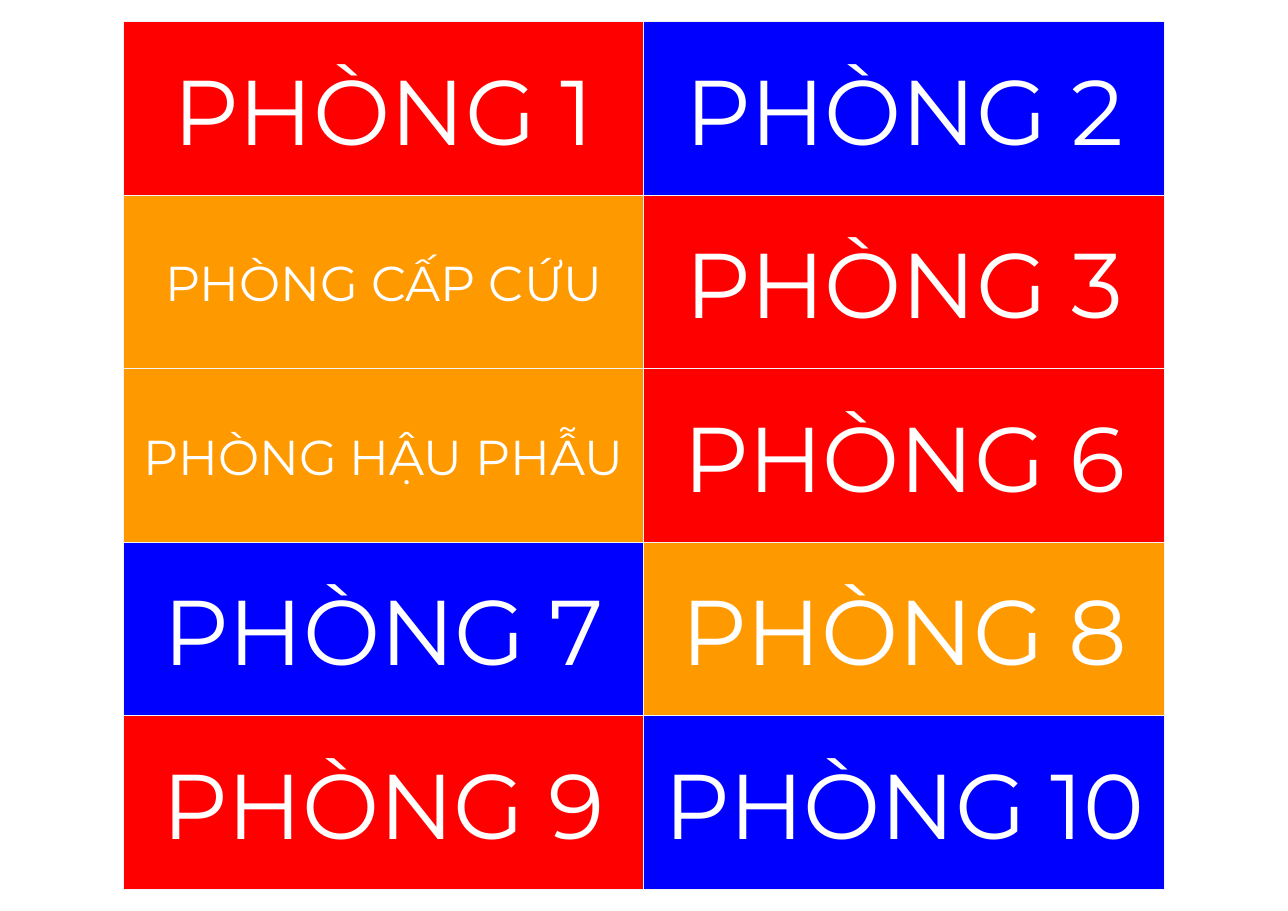
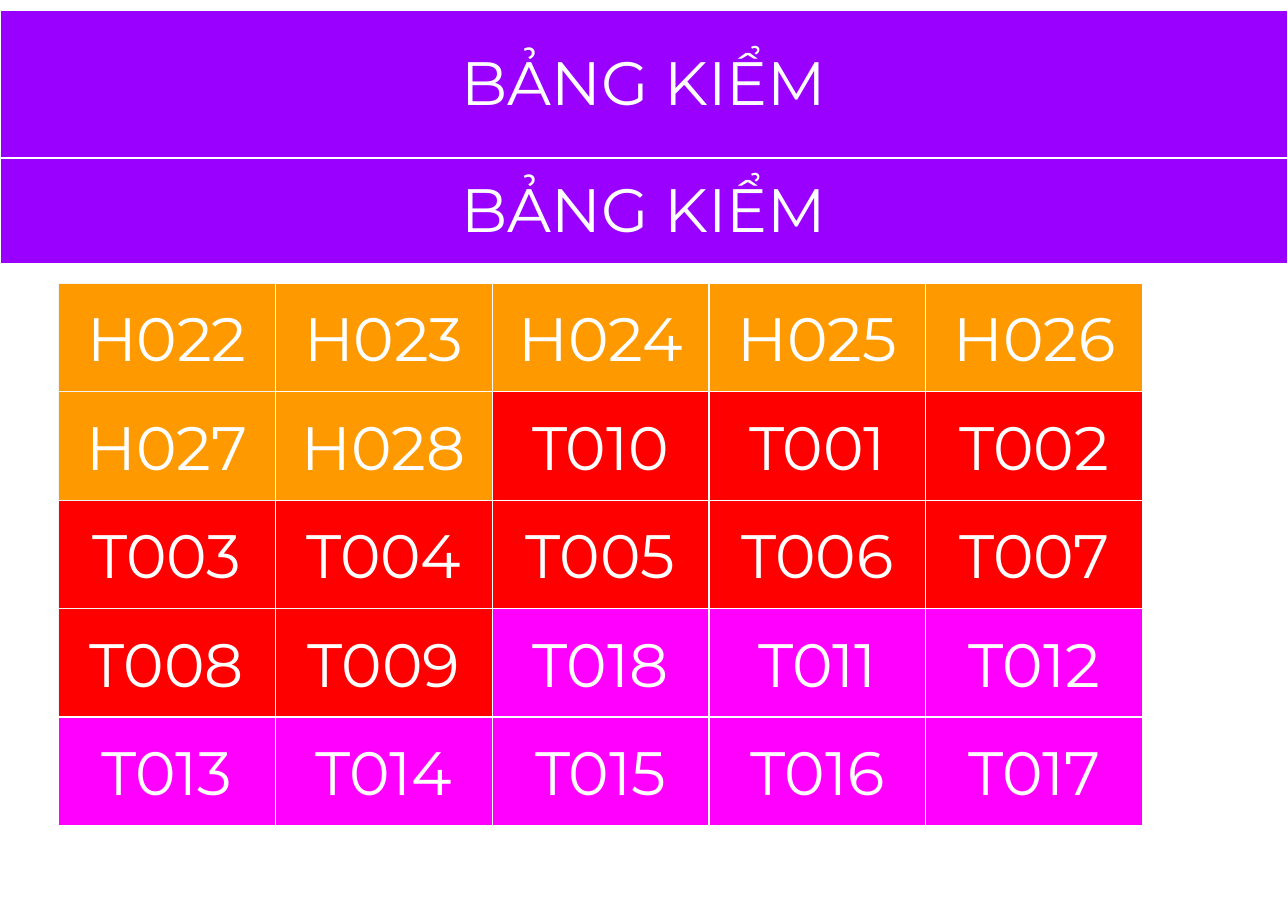
import pptx
import pptx.util
import pptx.dml.color
import pptx.enum.shapes
import pptx.enum.text
import pptx.oxml.ns
import lxml.etree

Pt = pptx.util.Pt
RGB = pptx.dml.color.RGBColor
MID = pptx.enum.text.MSO_ANCHOR.MIDDLE
MITTE = pptx.enum.text.PP_ALIGN.CENTER
RECT = pptx.enum.shapes.MSO_SHAPE.RECTANGLE

RED = RGB(0xFF, 0x00, 0x00)
BLUE = RGB(0x00, 0x00, 0xFF)
AMBER = RGB(0xFF, 0x99, 0x00)
PINK = RGB(0xFF, 0x00, 0xFF)
VIOLET = RGB(0x99, 0x00, 0xFF)
WHITE = RGB(0xFF, 0xFF, 0xFF)
PALE = RGB(0xF3, 0xF3, 0xF3)
FONT = "Montserrat"
WIDE, HIGH = 841.68, 595.44

ROOMS = [
    ("PHÒNG 1", RED), ("PHÒNG 2", BLUE),
    ("PHÒNG CẤP CỨU", AMBER), ("PHÒNG 3", RED),
    ("PHÒNG HẬU PHẪU", AMBER), ("PHÒNG 6", RED),
    ("PHÒNG 7", BLUE), ("PHÒNG 8", AMBER),
    ("PHÒNG 9", RED), ("PHÒNG 10", BLUE),
]
CODES = [
    (AMBER, "H022 H023 H024 H025 H026 H027 H028"),
    (RED, "T010 T001 T002 T003 T004 T005 T006 T007 T008 T009"),
    (PINK, "T018 T011 T012 T013 T014 T015 T016 T017"),
]
PALE_CODES = {"H022", "H027", "T003", "T008", "T009"}


def write(frame, text, size):
    para = frame.paragraphs[0]
    para.alignment = MITTE
    run = para.add_run()
    run.text = text
    run.font.name = FONT
    run.font.size = Pt(size)
    run.font.color.rgb = WHITE


def tile(slide, box, text, fill, edge, size):
    shape = slide.shapes.add_shape(RECT, *map(Pt, box))
    shape.shadow.inherit = False
    shape.fill.solid()
    shape.fill.fore_color.rgb = fill
    shape.line.color.rgb = edge
    shape.line.width = Pt(0.75)
    frame = shape.text_frame
    frame.word_wrap = True
    frame.vertical_anchor = MID
    frame.margin_left = frame.margin_right = Pt(7.2)
    frame.margin_top = frame.margin_bottom = Pt(7.2)
    write(frame, text, size)


def grid(slide, box, cols, tiles):
    left, top, width, height = box
    wide, high = width / cols, height / (len(tiles) // cols)
    for i, (text, fill, edge, size) in enumerate(tiles):
        row, col = divmod(i, cols)
        spot = (left + col * wide, top + row * high, wide, high)
        tile(slide, spot, text, fill, edge, size)


def border(cell, color, width):
    props = cell._tc.get_or_add_tcPr()
    qn = pptx.oxml.ns.qn
    for i, side in enumerate(("a:lnL", "a:lnR", "a:lnT", "a:lnB")):
        line = lxml.etree.Element(qn(side), w=str(Pt(width)))
        fill = lxml.etree.SubElement(line, qn("a:solidFill"))
        lxml.etree.SubElement(fill, qn("a:srgbClr"), val=str(color))
        props.insert(i, line)


def band(slide, box, text):
    table = slide.shapes.add_table(1, 2, *map(Pt, box)).table
    table.first_row = table.horz_banding = False
    for cell in table.iter_cells():
        cell.fill.solid()
        cell.fill.fore_color.rgb = VIOLET
        border(cell, WHITE, 1.5)
    cell = table.cell(0, 0)
    cell.merge(table.cell(0, 1))
    cell.vertical_anchor = MID
    cell.margin_left = cell.margin_right = Pt(8.6)
    cell.margin_top = cell.margin_bottom = Pt(10.4)
    write(cell.text_frame, text, 40)


def rooms(slide):
    tiles = [(text, fill, PALE, 60 if len(text) < 9 else 32)
             for text, fill in ROOMS]
    grid(slide, (80.64, 14.2, 680.4, 567), 2, tiles)


def checks(slide):
    for top, high in ((6.5, 96.5), (103, 67.7)):
        band(slide, (0, top, WIDE, high), "BẢNG KIỂM")
    tiles = [(code, fill, PALE if code in PALE_CODES else WHITE, 40)
             for fill, codes in CODES for code in codes.split()]
    grid(slide, (38.2, 185.2, 708.65, 354.3), 5, tiles)


def main():
    deck = pptx.Presentation()
    deck.slide_width, deck.slide_height = Pt(WIDE), Pt(HIGH)
    for build in (rooms, checks):
        build(deck.slides.add_slide(deck.slide_layouts[6]))
    deck.save("out.pptx")


if __name__ == "__main__":
    main()
